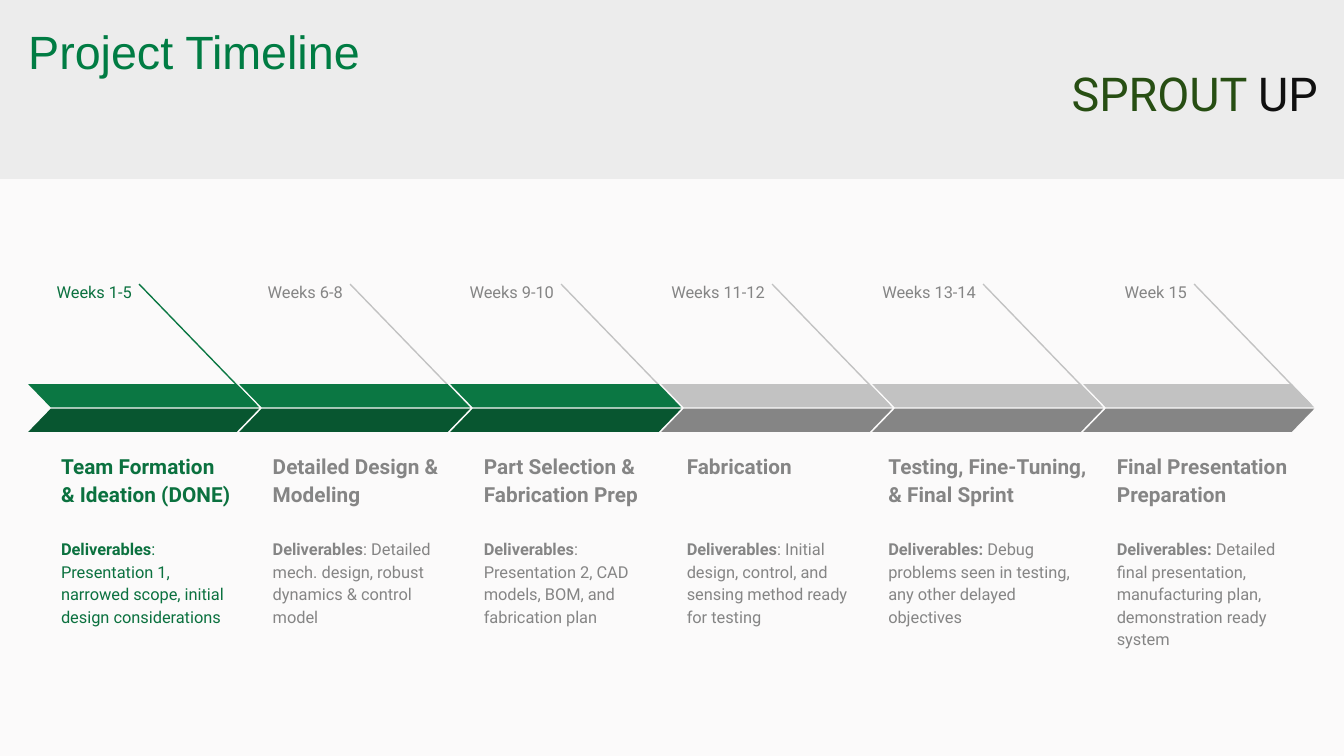
import pptx
import pptx.dml.color
import pptx.enum.shapes
import pptx.enum.text
import pptx.oxml.ns
import pptx.util
from lxml import etree

Pt = pptx.util.Pt
Shape = pptx.enum.shapes.MSO_SHAPE
Align = pptx.enum.text.PP_ALIGN

GREEN, DARK_GREEN, TEXT_GREEN = "0B7743", "085630", "0B713F"
SILVER, GRAY = "C2C2C2", "858585"
TITLE = "Project Timeline"
TEAM = [("SPROUT ", "274E13", False), ("UP", "101010", False)]

STEPS = [
    {"weeks": "Weeks 1-5", "heading": "Team Formation & Ideation (DONE)",
     "label": "Deliverables", "details": ": Presentation 1, narrowed scope, initial design considerations",
     "left": 24.8, "widths": (63, 107.3, 107.3), "bars": (GREEN, DARK_GREEN),
     "line": GREEN, "color": TEXT_GREEN},
    {"weeks": "Weeks 6-8", "heading": "Detailed Design & Modeling",
     "label": "Deliverables", "details": ": Detailed mech. design, robust dynamics & control model",
     "left": 138.2, "widths": (63, 107.3, 110), "bars": (GREEN, DARK_GREEN)},
    {"weeks": "Weeks 9-10", "heading": "Part Selection & Fabrication Prep",
     "label": "Deliverables", "details": ": Presentation 2, CAD models, BOM, and fabrication plan",
     "left": 251.3, "widths": (63, 102, 102), "bars": (GREEN, DARK_GREEN)},
    {"weeks": "Weeks 11-12", "heading": "Fabrication",
     "label": "Deliverables", "details": ": Initial design, control, and sensing method ready for testing",
     "left": 360, "widths": (69, 112, 112)},
    {"weeks": "Weeks 13-14", "heading": "Testing, Fine-Tuning, & Final Sprint",
     "label": "Deliverables:", "details": " Debug problems seen in testing, any other delayed objectives",
     "left": 468, "widths": (69, 122, 117)},
    {"weeks": "Week 15", "heading": "Final Presentation Preparation",
     "label": "Deliverables:", "details": " Detailed final presentation, manufacturing plan, demonstration ready system",
     "left": 590.4, "widths": (55, 112, 108)},
]

FIRST_LEFT, PITCH = 15.1, 113.05
BAR_WIDTH, BAR_HEIGHT, BAR_TOPS = 123.8, 12.5, (205.8, 218.9)


def rgb(color):
    return pptx.dml.color.RGBColor.from_string(color)


def write(box, spans, size, font="Roboto", inset=7.9, spacing=1.15, align=Align.LEFT):
    frame = box.text_frame
    frame.word_wrap = True
    frame.auto_size = pptx.enum.text.MSO_AUTO_SIZE.NONE
    frame.vertical_anchor = pptx.enum.text.MSO_ANCHOR.TOP
    frame.margin_left = frame.margin_right = Pt(inset)
    frame.margin_top = frame.margin_bottom = Pt(inset)
    para = frame.paragraphs[0]
    para.alignment = align
    para.line_spacing = spacing
    for text, color, bold in spans:
        span = para.add_run()
        span.text = text
        span.font.name = font
        span.font.size = Pt(size)
        span.font.bold = bold
        span.font.color.rgb = rgb(color)


def add_text(page, left, top, width, height, spans, size, **style):
    box = page.shapes.add_textbox(Pt(left), Pt(top), Pt(width), Pt(height))
    write(box, spans, size, **style)


def add_block(page, kind, left, top, width, height, color):
    block = page.shapes.add_shape(kind, Pt(left), Pt(top), Pt(width), Pt(height))
    block.shadow.inherit = False
    block.fill.solid()
    block.fill.fore_color.rgb = rgb(color)
    block.line.fill.background()
    return block


def add_pointer(page, left, color):
    pointer = page.shapes.add_connector(
        pptx.enum.shapes.MSO_CONNECTOR.STRAIGHT,
        Pt(left + 59.4), Pt(152.2), Pt(left + 122.1), Pt(217))
    pointer.line.color.rgb = rgb(color)
    pointer.line.width = Pt(0.75)
    etree.SubElement(pointer._element.spPr, pptx.oxml.ns.qn("a:effectLst"))


def add_step(page, index, step):
    left = FIRST_LEFT + index * PITCH
    color = step.get("color", GRAY)
    add_pointer(page, left, step.get("line", SILVER))
    bars = [add_block(page, Shape.PARALLELOGRAM, left, top, BAR_WIDTH, BAR_HEIGHT, fill)
            for top, fill in zip(BAR_TOPS, step.get("bars", (SILVER, GRAY)))]
    for bar in bars:
        bar.adjustments[0] = 0.97
    bars[0]._element.spPr.get_or_add_xfrm().set("flipH", "1")

    weeks_width, heading_width, details_width = step["widths"]
    add_text(page, left + 63.5 - weeks_width, 141.8, weeks_width, 20.7,
             [(step["weeks"], color, False)], 8.8, align=Align.RIGHT)
    add_text(page, step["left"], 233, heading_width, 45.6,
             [(step["heading"], color, True)], 11.1)
    add_text(page, step["left"], 279.4, details_width, 64,
             [(step["label"], color, True), (step["details"], color, False)], 8.8)


def main():
    deck = pptx.Presentation()
    deck.slide_width, deck.slide_height = Pt(720), Pt(405)
    page = deck.slides.add_slide(deck.slide_layouts[5])
    page.background.fill.solid()
    page.background.fill.fore_color.rgb = rgb("ECECEC")
    add_block(page, Shape.RECTANGLE, 0, 96, 720, 309, "FBFAFA")

    title = page.shapes.title
    title.left, title.top, title.width, title.height = Pt(15.1), Pt(15.8), Pt(597), Pt(27.4)
    write(title, [(TITLE, "007C43", False)], 25, font="Arial", inset=0, spacing=0.9)
    add_text(page, 564.5, 23, 151, 44.6, TEAM, 25, inset=7.2, align=Align.CENTER)

    for index, step in enumerate(STEPS):
        add_step(page, index, step)
    deck.save("out.pptx")


if __name__ == "__main__":
    main()
